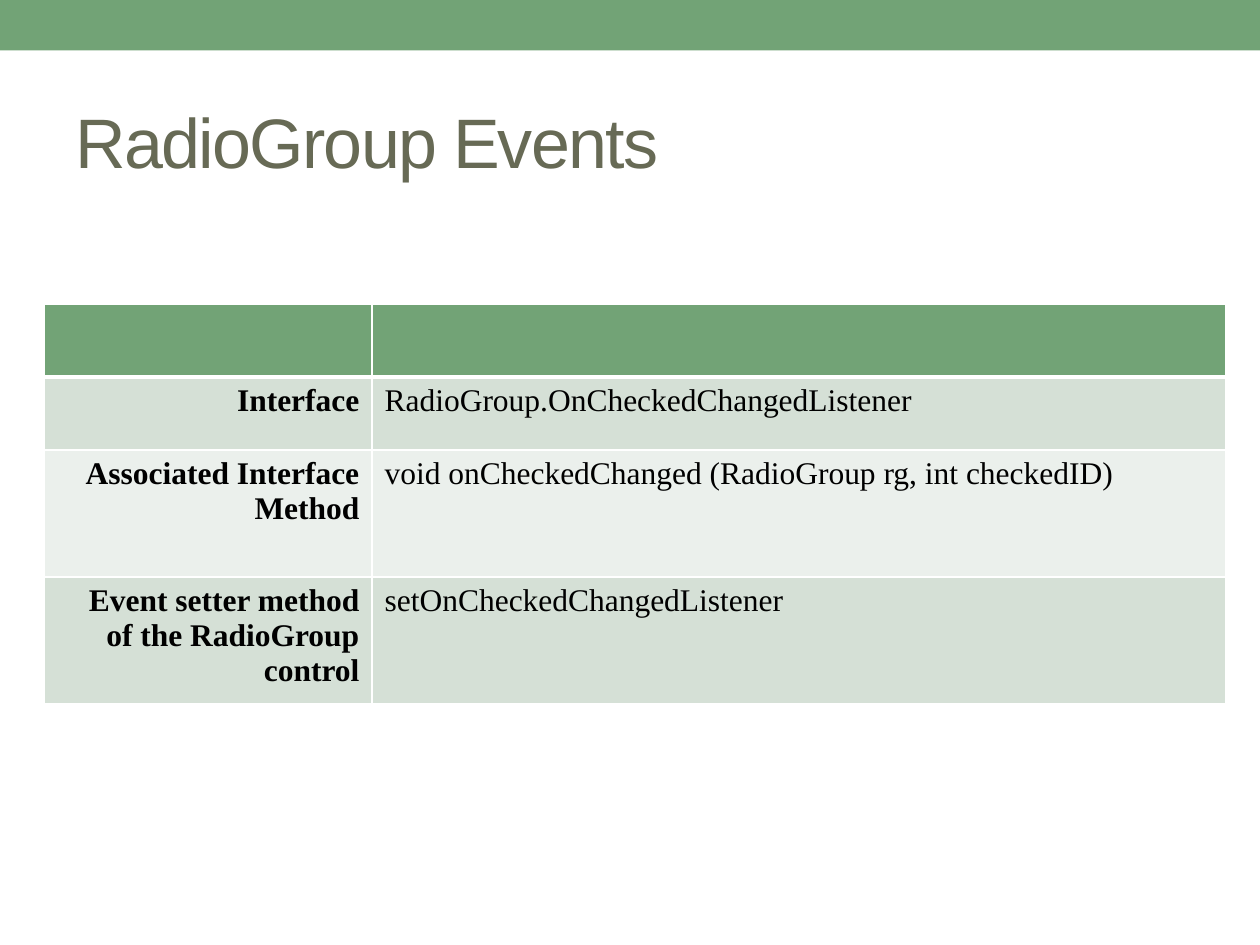
"""Builds the RadioGroup Events slide."""
import lxml.etree
import pptx
import pptx.dml.color
import pptx.enum.shapes
import pptx.enum.text
import pptx.oxml.ns
import pptx.util

Cm = pptx.util.Cm
Pt = pptx.util.Pt
ALIGN = pptx.enum.text.PP_ALIGN


def rgb(value):
    return pptx.dml.color.RGBColor.from_string(value)


class Deck:
    accent, heading, ink, line = "72A376", "676A55", "000000", "FFFFFF"
    bands = ("D5E0D6", "EBF0EC")

    def __init__(self):
        self.prs = pptx.Presentation()
        self.prs.slide_width, self.prs.slide_height = Cm(25.4), Cm(19.05)
        self.s = self.prs.slides.add_slide(self.prs.slide_layouts[5])

    def font(self, p, name, size, color, bold=False):
        f = p.font
        f.name, f.size, f.bold = name, Pt(size), bold
        f.color.rgb = rgb(color)

    def bar(self, height):
        sp = self.s.shapes.add_shape(
            pptx.enum.shapes.MSO_SHAPE.RECTANGLE, 0, 0, self.prs.slide_width, Cm(height))
        sp.shadow.inherit = False
        sp.fill.solid()
        sp.fill.fore_color.rgb = rgb(self.accent)
        sp.line.fill.background()

    def title(self, text, left, top, width, height):
        sp = self.s.shapes.title
        sp.left, sp.top, sp.width, sp.height = map(Cm, (left, top, width, height))
        tf = sp.text_frame
        tf.text = text
        tf.vertical_anchor = pptx.enum.text.MSO_ANCHOR.MIDDLE
        p = tf.paragraphs[0]
        p.alignment = ALIGN.LEFT
        self.font(p, "Arial", 40, self.heading)
        p.font._element.set("spc", "-100")

    def border(self, cell, side, width):
        qn = pptx.oxml.ns.qn
        ln = lxml.etree.SubElement(
            cell._tc.get_or_add_tcPr(), qn("a:ln" + side), w=str(Pt(width)))
        fill = lxml.etree.SubElement(ln, qn("a:solidFill"))
        lxml.etree.SubElement(fill, qn("a:srgbClr"), val=self.line)

    def cell(self, cell, text, row, col):
        for side in "LRTB":
            thick = (row, side) in ((0, "B"), (1, "T"))
            self.border(cell, side, 3 if thick else 1)
        cell.fill.solid()
        cell.fill.fore_color.rgb = rgb(self.bands[(row - 1) % 2] if row else self.accent)
        cell.text = text
        p = cell.text_frame.paragraphs[0]
        p.alignment = ALIGN.LEFT if col else ALIGN.RIGHT
        self.font(p, "Times New Roman", 18, self.ink, bold=col == 0)

    def table(self, rows, left, top, widths, heights):
        table = self.s.shapes.add_table(
            len(rows), len(widths), Cm(left), Cm(top), Cm(sum(widths)), Cm(sum(heights))).table
        for column, width in zip(table.columns, widths):
            column.width = Cm(width)
        for i, (row, height) in enumerate(zip(rows, heights)):
            table.rows[i].height = Cm(height)
            for j, text in enumerate(row):
                self.cell(table.cell(i, j), text, i, j)


def main():
    deck = Deck()
    deck.bar(1.02)
    deck.title("RadioGroup Events", 1.27, 1.47, 22.86, 2.74)
    rows = [
        ("", ""),
        ("Interface", "RadioGroup.OnCheckedChangedListener"),
        ("Associated Interface Method", "void onCheckedChanged (RadioGroup rg, int checkedID)"),
        ("Event setter method of the RadioGroup control", "setOnCheckedChangedListener"),
    ]
    deck.table(rows, 0.9, 6.13, (6.6, 17.2), (1.47, 1.47, 2.56, 2.56))
    deck.prs.save("out.pptx")


if __name__ == "__main__":
    main()
